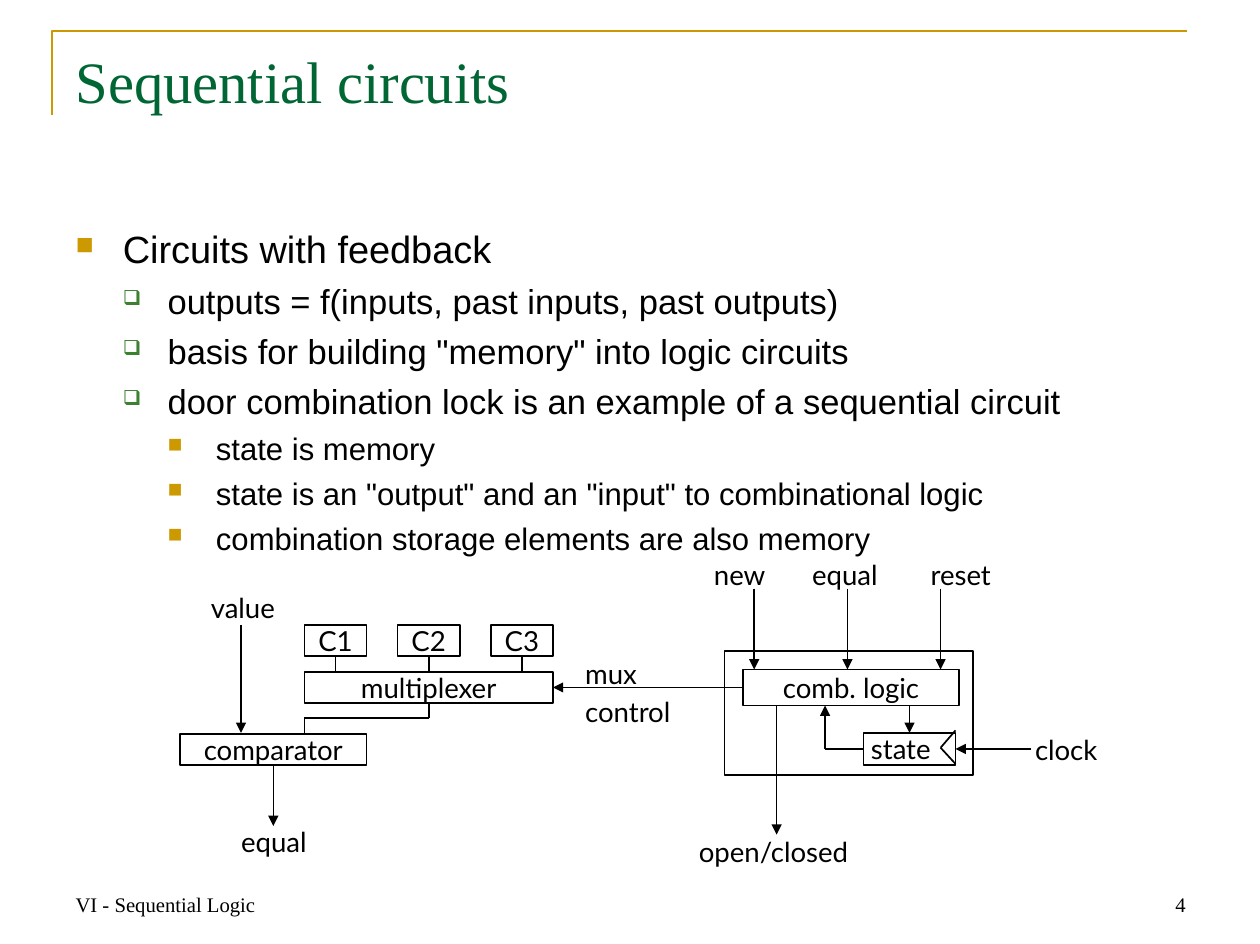
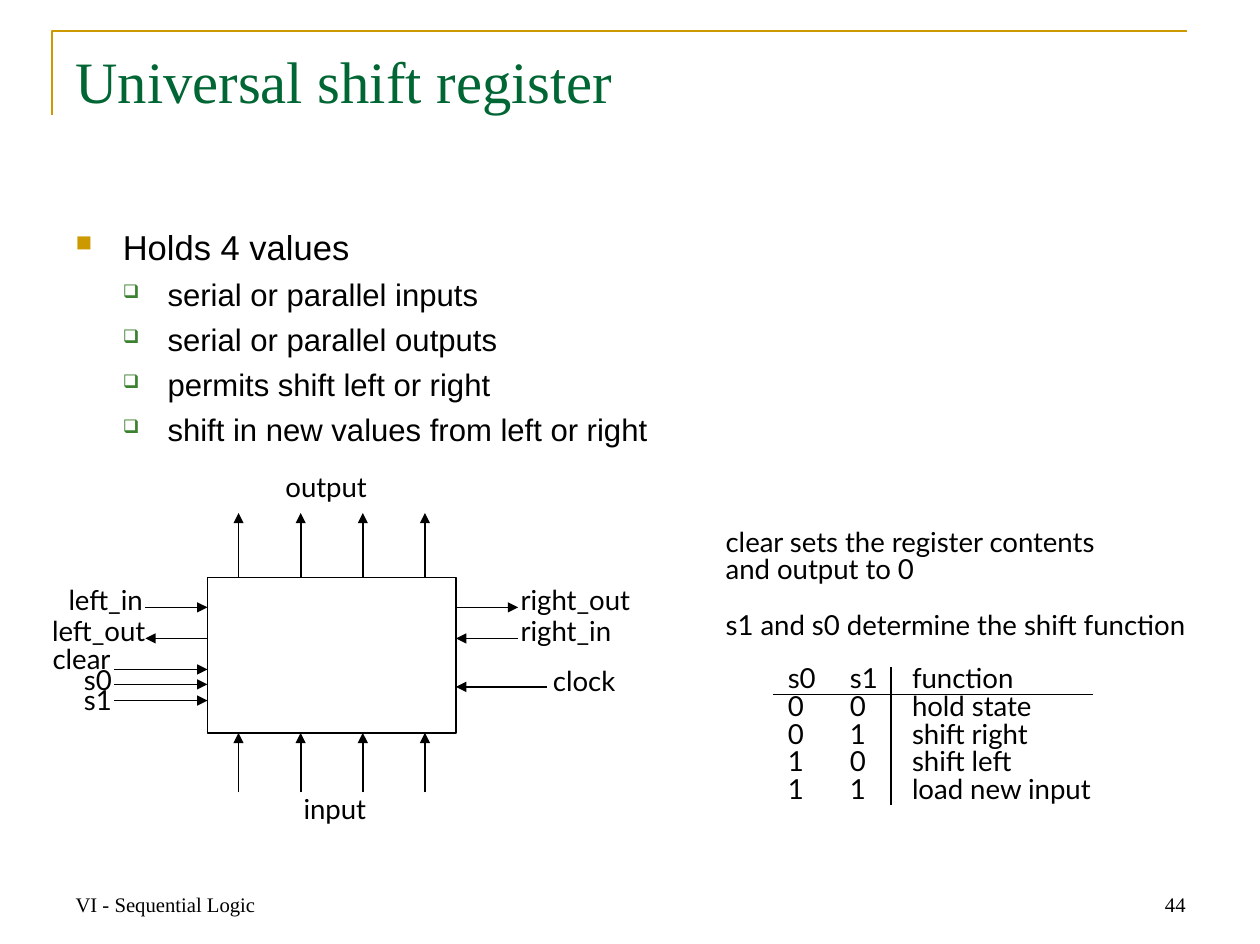
from collections import namedtuple
from dataclasses import dataclass
from itertools import pairwise

from lxml import etree
from pptx import Presentation
from pptx.dml.color import RGBColor
from pptx.enum.shapes import MSO_CONNECTOR, MSO_SHAPE
from pptx.enum.text import MSO_ANCHOR, PP_ALIGN
from pptx.oxml.ns import qn
from pptx.util import Inches, Pt

LEFT, CENTER, RIGHT = PP_ALIGN.LEFT, PP_ALIGN.CENTER, PP_ALIGN.RIGHT
TOP, MIDDLE, BOTTOM = MSO_ANCHOR.TOP, MSO_ANCHOR.MIDDLE, MSO_ANCHOR.BOTTOM
STRAIGHT, RECTANGLE = MSO_CONNECTOR.STRAIGHT, MSO_SHAPE.RECTANGLE
SIDE_TOP, SIDE_LEFT, SIDE_BOTTOM, SIDE_RIGHT = range(4)
NO_GRID_STYLE = "{2D5ABB26-0587-4C30-8999-92F81FD0307C}"

Side = namedtuple("Side", "shape site")
Bullet = namedtuple("Bullet", "symbol color percent margin hanging")


@dataclass(frozen=True)
class Theme:
    gold: str = "CC9900"
    green: str = "006633"
    leaf: str = "3B812F"
    ink: str = "000000"
    paper: str = "FFFFFF"
    serif: str = "Times New Roman"
    sans: str = "Arial"
    diagram: str = "Lato"
    title_size: int = 34
    footer_size: int = 12
    label_size: int = 16
    line_width: float = 1
    frame_width: float = 1.5
    text_insets: tuple = (0.1, 0.05)
    label_insets: tuple = (0.02, 0.03)


THEME = Theme()
BULLETS = (
    Bullet("■", THEME.gold, 65, 0.38, 0.38),
    Bullet("❑", THEME.leaf, 60, 0.74, 0.36),
    Bullet("■", THEME.gold, 65, 1.13, 0.39),
)


def color(value):
    return RGBColor.from_string(value)


def style_font(paragraph, name, size, ink=THEME.ink):
    font = paragraph.font
    font.name, font.size = name, Pt(size)
    font.color.rgb = color(ink)


def set_insets(frame, horizontal, vertical):
    frame.margin_left = frame.margin_right = Inches(horizontal)
    frame.margin_top = frame.margin_bottom = Inches(vertical)


def add_text_frame(slide, box, insets, anchor=TOP, wrap=True):
    frame = slide.shapes.add_textbox(*map(Inches, box)).text_frame
    frame.word_wrap = wrap
    frame.vertical_anchor = anchor
    set_insets(frame, *insets)
    return frame


def add_line_of_text(slide, box, text, size, ink=THEME.ink, align=LEFT, anchor=TOP):
    paragraph = add_text_frame(slide, box, THEME.text_insets, anchor).paragraphs[0]
    paragraph.text, paragraph.alignment = text, align
    style_font(paragraph, THEME.serif, size, ink)


def add_label(slide, box, text, align, spacing):
    frame = add_text_frame(slide, box, THEME.label_insets, wrap=False)
    paragraph = frame.paragraphs[0]
    paragraph.text, paragraph.alignment = text, align
    paragraph.line_spacing = Pt(spacing)
    style_font(paragraph, THEME.diagram, THEME.label_size)


def add_frame_line(slide):
    builder = slide.shapes.build_freeform(Inches(0.42), Inches(0.93))
    corners = [(Inches(0.42), Inches(0.25)), (Inches(9.55), Inches(0.25))]
    builder.add_line_segments(corners, close=False)
    shape = builder.convert_to_shape()
    shape.shadow.inherit = False
    shape.fill.background()
    shape.line.color.rgb = color(THEME.gold)
    shape.line.width = Pt(THEME.frame_width)


def add_base_slide(presentation, title, number):
    slide = presentation.slides.add_slide(presentation.slide_layouts[6])
    add_frame_line(slide)
    add_line_of_text(slide, (0.51, 0.31, 9.12, 1.26), title, THEME.title_size, THEME.green)
    add_line_of_text(slide, (0.51, 6.92, 2.37, 0.51), "VI - Sequential Logic",
                     THEME.footer_size, anchor=BOTTOM)
    add_line_of_text(slide, (7.27, 6.92, 2.37, 0.51), str(number),
                     THEME.footer_size, align=RIGHT, anchor=BOTTOM)
    return slide


def set_bullet(paragraph, bullet):
    properties = paragraph._p.get_or_add_pPr()
    properties.set("marL", str(Inches(bullet.margin)))
    properties.set("indent", str(-Inches(bullet.hanging)))
    bullet_color = etree.SubElement(properties, qn("a:buClr"))
    etree.SubElement(bullet_color, qn("a:srgbClr"), val=bullet.color)
    etree.SubElement(properties, qn("a:buSzPct"), val=str(bullet.percent * 1000))
    etree.SubElement(properties, qn("a:buChar"), char=bullet.symbol)


def add_bullets(slide, items, sizes):
    frame = add_text_frame(slide, (0.51, 1.77, 9.12, 5.02), THEME.text_insets)
    for index, (level, text) in enumerate(items):
        paragraph = frame.add_paragraph() if index else frame.paragraphs[0]
        paragraph.text, paragraph.level = text, level
        if index:
            paragraph.space_before = Pt(sizes[level] / 4)
        set_bullet(paragraph, BULLETS[level])
        style_font(paragraph, THEME.sans, sizes[level])


def add_block(slide, box, text="", align=CENTER, inset=0, fill=None):
    shape = slide.shapes.add_shape(RECTANGLE, *map(Inches, box))
    shape.shadow.inherit = False
    if fill:
        shape.fill.solid()
        shape.fill.fore_color.rgb = color(fill)
    else:
        shape.fill.background()
    shape.line.color.rgb = color(THEME.ink)
    shape.line.width = Pt(THEME.line_width)
    if text:
        frame = shape.text_frame
        frame.word_wrap, frame.vertical_anchor = False, MIDDLE
        set_insets(frame, inset, 0)
        paragraph = frame.paragraphs[0]
        paragraph.text, paragraph.alignment = text, align
        style_font(paragraph, THEME.diagram, THEME.label_size)
    return shape


def add_wire(slide, start, end, arrow=False):
    points = [(0, 0) if isinstance(point, Side) else point for point in (start, end)]
    ends = [Inches(length) for point in points for length in point]
    wire = slide.shapes.add_connector(STRAIGHT, *ends)
    if isinstance(start, Side):
        wire.begin_connect(*start)
    if isinstance(end, Side):
        wire.end_connect(*end)
    wire.line.color.rgb = color(THEME.ink)
    wire.line.width = Pt(THEME.line_width)
    properties = wire._element.spPr
    if arrow:
        etree.SubElement(properties.find(qn("a:ln")), qn("a:tailEnd"), type="triangle")
    etree.SubElement(properties, qn("a:effectLst"))


def add_route(slide, points, arrow=False):
    for start, end in pairwise(points):
        add_wire(slide, start, end, arrow and end == points[-1])


def add_cell_border(cell, tag):
    line = etree.Element(qn(tag), w=str(Pt(THEME.line_width)))
    fill = etree.SubElement(line, qn("a:solidFill"))
    etree.SubElement(fill, qn("a:srgbClr"), val=THEME.ink)
    cell._tc.get_or_add_tcPr().insert(0, line)


def add_function_table(slide, rows, left, top, widths, indents):
    height = Inches(0.22)
    graphic = slide.shapes.add_table(len(rows), len(widths), Inches(left), Inches(top),
                                     Inches(sum(widths)), height * len(rows))
    table = graphic.table
    table.first_row = table.horz_banding = False
    table._tbl.tblPr.find(qn("a:tableStyleId")).text = NO_GRID_STYLE
    for column, width in zip(table.columns, widths):
        column.width = Inches(width)
    for row_index, row in enumerate(rows):
        table.rows[row_index].height = height
        for column_index, text in enumerate(row):
            cell = table.cell(row_index, column_index)
            set_insets(cell, 0, 0)
            cell.margin_left = Inches(indents[column_index])
            cell.fill.background()
            paragraph = cell.text_frame.paragraphs[0]
            paragraph.text, paragraph.line_spacing = text, Pt(16)
            style_font(paragraph, THEME.diagram, THEME.label_size)
            if row_index == 0:
                add_cell_border(cell, "a:lnB")
            if column_index == 1:
                add_cell_border(cell, "a:lnR")


def add_lock_datapath(slide):
    multiplexer = add_block(slide, (2.45, 5.41, 2, 0.25), "multiplexer")
    comparator = add_block(slide, (1.45, 5.91, 1.5, 0.25), "comparator")
    for index in range(3):
        left = 2.45 + 0.75 * index
        code = add_block(slide, (left, 5.03, 0.5, 0.25), f"C{index + 1}")
        target = Side(multiplexer, SIDE_TOP) if index == 1 else (left + 0.25, 5.41)
        add_wire(slide, Side(code, SIDE_BOTTOM), target)
    add_route(slide, [Side(multiplexer, SIDE_BOTTOM), (3.45, 5.78), (2.45, 5.78), (2.45, 5.91)])
    add_wire(slide, (1.94, 5.03), (1.94, 5.9), arrow=True)
    add_wire(slide, Side(comparator, SIDE_BOTTOM), (2.2, 6.65), arrow=True)
    return multiplexer


def add_lock_control(slide, multiplexer):
    add_block(slide, (5.83, 5.24, 2, 1))
    logic = add_block(slide, (5.98, 5.39, 1.74, 0.29), "comb. logic")
    state = add_block(slide, (6.95, 5.9, 0.74, 0.26), "state", LEFT, 0.06)
    for x in (6.07, 6.82, 7.57):
        add_wire(slide, (x, 4.74), (x, 5.39), arrow=True)
    add_wire(slide, Side(logic, SIDE_LEFT), Side(multiplexer, SIDE_RIGHT), arrow=True)
    add_wire(slide, (6.25, 5.68), (6.25, 6.72), arrow=True)
    add_wire(slide, (7.32, 5.68), Side(state, SIDE_TOP), arrow=True)
    add_route(slide, [Side(state, SIDE_LEFT), (6.64, 6.03), (6.64, 5.68)], arrow=True)
    add_route(slide, [(7.69, 5.88), (7.57, 6.02), (7.69, 6.15)])
    add_wire(slide, (8.3, 6.03), Side(state, SIDE_RIGHT), arrow=True)


def build_circuits_slide(presentation):
    slide = add_base_slide(presentation, "Sequential circuits", 4)
    add_bullets(slide, [
        (0, "Circuits with feedback"),
        (1, "outputs = f(inputs, past inputs, past outputs)"),
        (1, 'basis for building "memory" into logic circuits'),
        (1, "door combination lock is an example of a sequential circuit"),
        (2, "state is memory"),
        (2, 'state is an "output" and an "input" to combinational logic'),
        (2, "combination storage elements are also memory"),
    ], (22, 20, 18))
    add_lock_control(slide, add_lock_datapath(slide))
    for text, left, top, width, align in (
        ("value", 1.42, 4.69, 1.07, CENTER),
        ("equal", 1.67, 6.57, 1.07, CENTER),
        ("new", 5.25, 4.42, 0.93, RIGHT),
        ("equal", 6.33, 4.42, 0.94, CENTER),
        ("reset", 7.47, 4.42, 0.94, LEFT),
        ("mux\vcontrol", 4.69, 5.22, 0.94, LEFT),
        ("clock", 8.31, 5.83, 0.93, LEFT),
        ("open/closed", 5.38, 6.65, 1.69, CENTER),
    ):
        add_label(slide, (left, top, width, 0.44), text, align, 22)


def add_register(slide):
    add_block(slide, (1.67, 4.65, 2, 1.25), fill=THEME.paper)
    for index in range(4):
        x = 1.92 + 0.5 * index
        add_wire(slide, (x, 4.65), (x, 4.13), arrow=True)
        add_wire(slide, (x, 6.38), (x, 5.9), arrow=True)
    for start, end, y in (
        (1.17, 1.67, 4.89), (1.67, 1.17, 5.14), (0.92, 1.67, 5.39), (0.92, 1.67, 5.51),
        (0.92, 1.67, 5.64), (3.67, 4.17, 4.89), (4.17, 3.67, 5.14), (4.4, 3.67, 5.53),
    ):
        add_wire(slide, (start, y), (end, y), arrow=True)
    for text, left, top, width, align in (
        ("left_in", 0.18, 4.74, 0.99, RIGHT),
        ("left_out", 0.08, 4.99, 1.11, RIGHT),
        ("clear", 0.15, 5.21, 0.76, RIGHT),
        ("s0", 0.24, 5.38, 0.68, RIGHT),
        ("s1", 0.24, 5.54, 0.68, RIGHT),
        ("right_out", 4.17, 4.74, 1.22, LEFT),
        ("right_in", 4.17, 4.99, 1.11, LEFT),
        ("clock", 4.43, 5.39, 0.76, LEFT),
        ("output", 2.12, 3.83, 1.01, CENTER),
        ("input", 2.25, 6.42, 0.89, CENTER),
    ):
        add_label(slide, (left, top, width, 0.33), text, align, 13.9)


def build_register_slide(presentation):
    slide = add_base_slide(presentation, "Universal shift register", 44)
    add_bullets(slide, [
        (0, "Holds 4 values"),
        (1, "serial or parallel inputs"),
        (1, "serial or parallel outputs"),
        (1, "permits shift left or right"),
        (1, "shift in new values from left or right"),
    ], (20, 18))
    add_register(slide)
    add_label(slide, (5.82, 4.24, 4.26, 0.5),
              "clear sets the register contents\vand output to 0", LEFT, 16)
    add_label(slide, (5.82, 4.91, 4.26, 0.28), "s1 and s0 determine the shift function", LEFT, 16)
    add_function_table(slide, [
        ("s0", "s1", "function"),
        ("0", "0", "hold state"),
        ("0", "1", "shift right"),
        ("1", "0", "shift left"),
        ("1", "1", "load new input"),
    ], 6.22, 5.37, (0.5, 0.45, 1.63), (0.12, 0.12, 0.17))


def main():
    presentation = Presentation()
    presentation.slide_width, presentation.slide_height = Inches(10.14), Inches(7.6)
    build_circuits_slide(presentation)
    build_register_slide(presentation)
    presentation.save("out.pptx")


if __name__ == "__main__":
    main()
